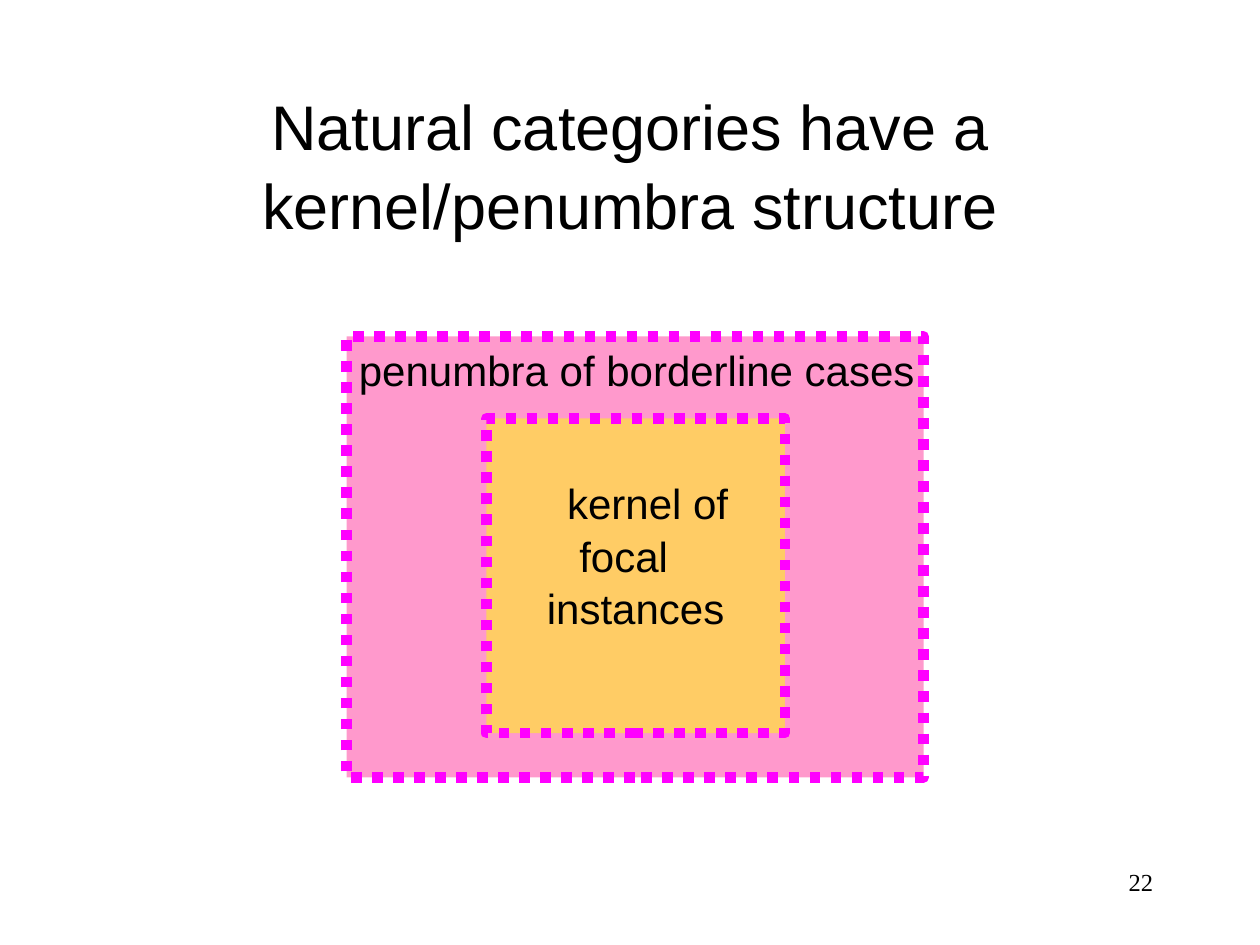
from pptx import Presentation
from pptx.dml.color import RGBColor
from pptx.enum.dml import MSO_LINE
from pptx.enum.shapes import MSO_SHAPE
from pptx.enum.text import MSO_ANCHOR, PP_ALIGN
from pptx.oxml import parse_xml
from pptx.oxml.ns import nsdecls
from pptx.util import Inches, Pt

BLACK = RGBColor(0x00, 0x00, 0x00)
PINK = RGBColor(0xFF, 0x99, 0xCC)
YELLOW = RGBColor(0xFF, 0xFF, 0x00)
MAGENTA = RGBColor(0xFF, 0x00, 0xFF)

RECTANGLE = MSO_SHAPE.RECTANGLE
DOTTED = MSO_LINE.ROUND_DOT
LEFT, CENTER, RIGHT = PP_ALIGN.LEFT, PP_ALIGN.CENTER, PP_ALIGN.RIGHT
MIDDLE = MSO_ANCHOR.MIDDLE

LINE_INDENT = Inches(0.19)


def inches(*lengths):
    return [Inches(length) for length in lengths]


def style(paragraph, size, align=LEFT, font_name="Arial", spacing=1.04):
    paragraph.alignment = align
    paragraph.line_spacing = spacing
    paragraph.font.size = Pt(size)
    paragraph.font.name = font_name
    paragraph.font.color.rgb = BLACK


def add_title(slide, text):
    title = slide.shapes.title
    title.left, title.top, title.width, title.height = inches(0.75, 0.67, 8.5, 1.25)
    title.text_frame.text = text
    title.text_frame.vertical_anchor = MIDDLE
    style(title.text_frame.paragraphs[0], 36, CENTER)


def add_region(shapes, box, color, opacity=100):
    region = shapes.add_shape(RECTANGLE, *inches(*box))
    region.shadow.inherit = False
    region.fill.solid()
    region.fill.fore_color.rgb = color
    if opacity < 100:
        region.fill._xPr.solidFill[0].append(
            parse_xml(f'<a:alpha {nsdecls("a")} val="{opacity * 1000}"/>'))
    region.line.color.rgb = MAGENTA
    region.line.width = Pt(6)
    region.line.dash_style = DOTTED
    return region


def write_kernel_lines(kernel, lines):
    """Write (text, indented side) lines, centred between their indents."""
    frame = kernel.text_frame
    frame.word_wrap = True
    frame.vertical_anchor = MIDDLE
    frame.margin_bottom = Inches(0.39)
    for index, (text, side) in enumerate(lines):
        paragraph = frame.paragraphs[0] if index == 0 else frame.add_paragraph()
        paragraph.text = text
        paragraph._p.get_or_add_pPr().set(side, str(LINE_INDENT))
        style(paragraph, 24, CENTER)


def add_label(shapes, box, text, size, wrap=True, **options):
    label = shapes.add_textbox(*inches(*box))
    label.text_frame.word_wrap = wrap
    label.text_frame.text = text
    style(label.text_frame.paragraphs[0], size, **options)


def add_category_diagram(slide):
    diagram = slide.shapes.add_group_shape().shapes
    add_region(diagram, (2.75, 2.67, 4.58, 3.5), PINK)
    kernel = add_region(diagram, (3.86, 3.32, 2.37, 2.5), YELLOW, opacity=50)
    write_kernel_lines(
        kernel, [("kernel of", "marL"), ("focal", "marR"), ("instances", "marL")])
    add_label(diagram, (2.75, 2.67, 4.61, 0.5), "penumbra of borderline cases", 24,
              wrap=False)


def main():
    presentation = Presentation()
    presentation.slide_width, presentation.slide_height = inches(10, 7.5)
    slide = presentation.slides.add_slide(presentation.slide_layouts[5])
    add_title(slide, "Natural categories have a kernel/penumbra structure")
    add_category_diagram(slide)
    add_label(slide.shapes, (7.17, 6.83, 2.08, 0.5), "22", 14,
              align=RIGHT, font_name="Times New Roman", spacing=1.0)
    presentation.save("out.pptx")


if __name__ == "__main__":
    main()
